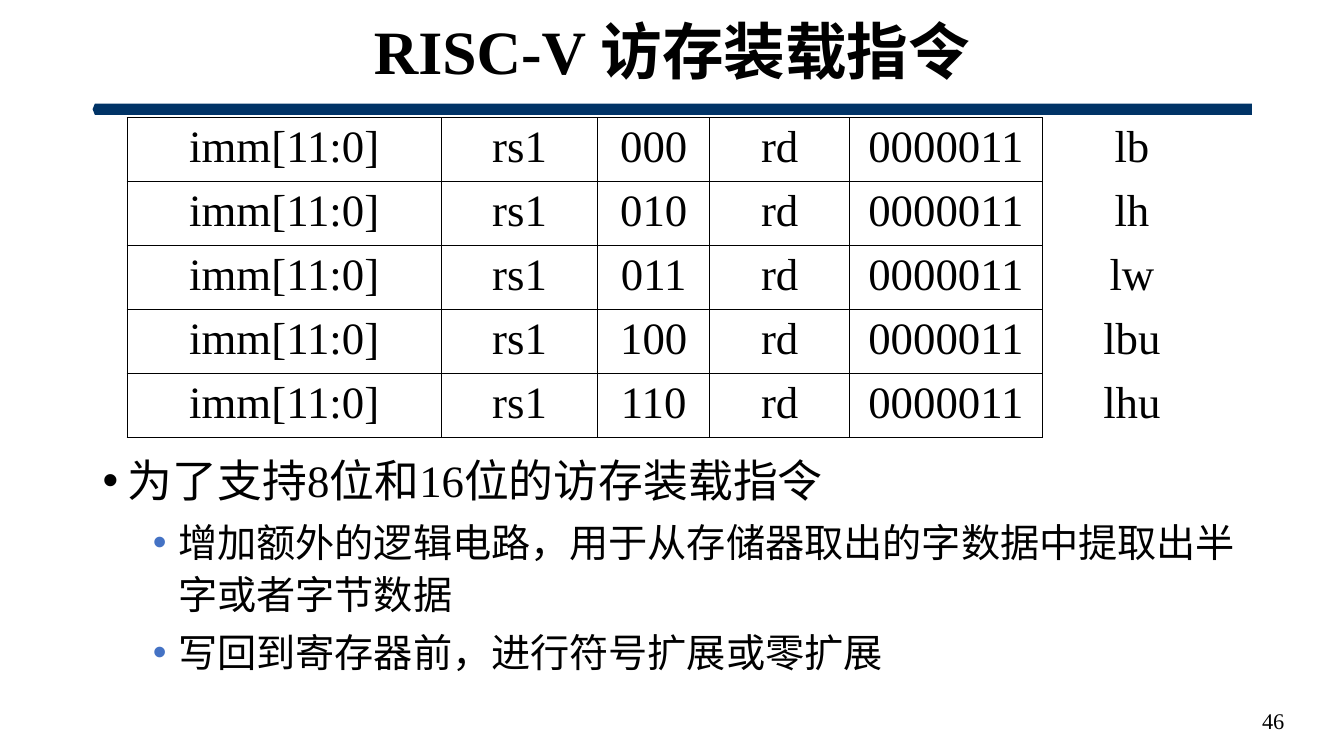
from pptx import Presentation
from pptx.dml.color import RGBColor
from pptx.enum.shapes import MSO_SHAPE
from pptx.enum.text import MSO_ANCHOR, PP_ALIGN
from pptx.oxml.ns import qn
from pptx.util import Pt
from lxml.etree import SubElement

FONT = "Times New Roman"
COLORS = {"text": "000000", "bar": "003366", "bullet": "4472C4"}

FIELD_WIDTHS = [224.6, 111.6, 80, 100, 137.5, 128.2]
ROW_HEIGHT = 45.6
LOADS = [("000", "lb"), ("010", "lh"), ("011", "lw"), ("100", "lbu"), ("110", "lhu")]

# Outline level and wording of each bullet
BULLETS = [
    (0, "为了支持8位和16位的访存装载指令"),
    (1, "增加额外的逻辑电路，用于从存储器取出的字数据中提取出半字或者字节数据"),
    (1, "写回到寄存器前，进行符号扩展或零扩展"),
]
# Size, space before, left indent and bullet colour of each level
LEVELS = [(32, 0, 18, "text"), (28, 5, 54, "bullet")]


def rgb(name):
    return RGBColor.from_string(COLORS[name])


def add_run(p, text, size, bold=False):
    r = p.add_run()
    r.text = text
    r.font.name = FONT
    r.font.size = Pt(size)
    r.font.bold = bold
    r.font.color.rgb = rgb("text")


def add_textbox(slide, left, top, width, height, anchor):
    s = slide.shapes.add_textbox(Pt(left), Pt(top), Pt(width), Pt(height))
    tf = s.text_frame
    tf.word_wrap = True
    tf.vertical_anchor = anchor
    return tf


def add_line_of_text(slide, box, text, size, align, bold=False, spacing=1.0):
    p = add_textbox(slide, *box, MSO_ANCHOR.MIDDLE).paragraphs[0]
    p.alignment = align
    p.line_spacing = spacing
    add_run(p, text, size, bold)


def add_title_bar(slide):
    s = slide.shapes.add_shape(MSO_SHAPE.PENTAGON, Pt(66.2), Pt(74), Pt(828), Pt(8))
    s.adjustments[0] = 0.2
    s.shadow.inherit = False
    s.fill.solid()
    s.fill.fore_color.rgb = rgb("bar")
    s.line.fill.background()
    s._element.spPr.find(qn("a:xfrm")).set("flipH", "1")


def set_borders(cell, drawn):
    tc_pr = cell._tc.get_or_add_tcPr()
    for side in "LRTB":
        ln = SubElement(tc_pr, qn(f"a:ln{side}"), w=str(Pt(1)))
        if side in drawn:
            fill = SubElement(ln, qn("a:solidFill"))
            SubElement(fill, qn("a:srgbClr"), val=COLORS["text"])
        else:
            SubElement(ln, qn("a:noFill"))


def add_encoding_table(slide):
    width, height = sum(FIELD_WIDTHS), ROW_HEIGHT * len(LOADS)
    table = slide.shapes.add_table(len(LOADS), len(FIELD_WIDTHS), Pt(90.8), Pt(84.1),
                                   Pt(width), Pt(height)).table
    table.first_row = table.horz_banding = False
    for column, field_width in zip(table.columns, FIELD_WIDTHS):
        column.width = Pt(field_width)
    for row, (funct3, name) in zip(table.rows, LOADS):
        row.height = Pt(ROW_HEIGHT)
        fields = ["imm[11:0]", "rs1", funct3, "rd", "0000011", name]
        for cell, field in zip(row.cells, fields):
            # The instruction name stands outside the grid
            set_borders(cell, "L" if field == name else "LRTB")
            cell.fill.background()
            p = cell.text_frame.paragraphs[0]
            p.alignment = PP_ALIGN.CENTER
            add_run(p, field, 32)


def add_bullets(slide):
    tf = add_textbox(slide, 66.2, 316, 828, 170, MSO_ANCHOR.TOP)
    for i, (level, text) in enumerate(BULLETS):
        size, before, indent, color = LEVELS[level]
        p = tf.add_paragraph() if i else tf.paragraphs[0]
        p.level = level
        p.line_spacing = 1.1
        p.space_before = Pt(before)
        p_pr = p._p.get_or_add_pPr()
        p_pr.set("marL", str(Pt(indent)))
        p_pr.set("indent", str(Pt(-18)))
        bu_clr = SubElement(p_pr, qn("a:buClr"))
        SubElement(bu_clr, qn("a:srgbClr"), val=COLORS[color])
        SubElement(p_pr, qn("a:buFont"), typeface="Arial")
        SubElement(p_pr, qn("a:buChar"), char="•")
        add_run(p, text, size)


def main():
    prs = Presentation()
    prs.slide_width, prs.slide_height = Pt(960), Pt(540)
    slide = prs.slides.add_slide(prs.slide_layouts[6])

    # Heading
    add_title_bar(slide)
    add_line_of_text(slide, (66.2, 9.4, 828, 59), "RISC-V 访存装载指令", 44,
                     PP_ALIGN.CENTER, bold=True, spacing=0.9)

    # Content
    add_bullets(slide)
    add_encoding_table(slide)

    # Page number
    add_line_of_text(slide, (708.5, 500.4, 216, 28.8), "46", 16, PP_ALIGN.RIGHT)

    prs.save("out.pptx")


if __name__ == "__main__":
    main()
